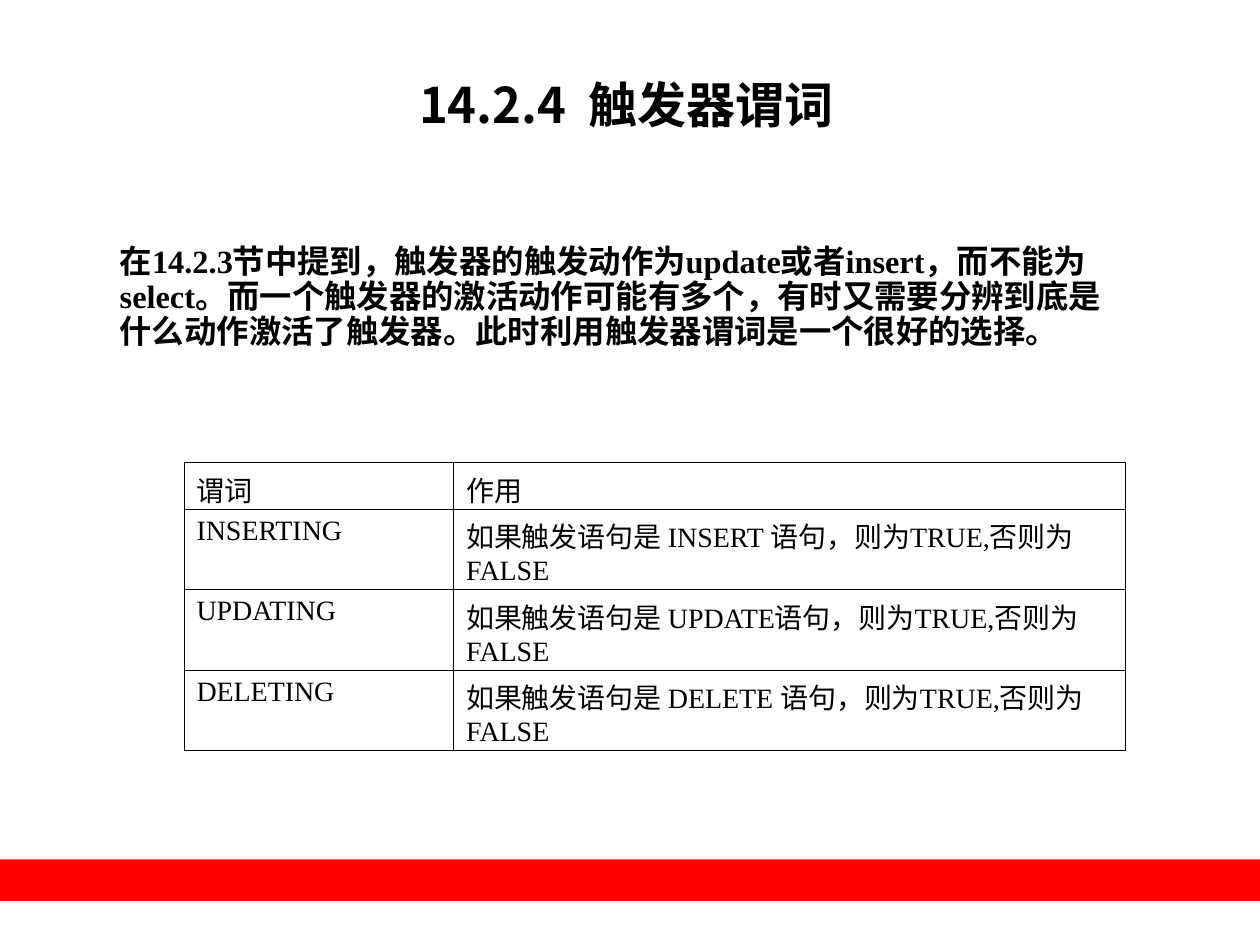
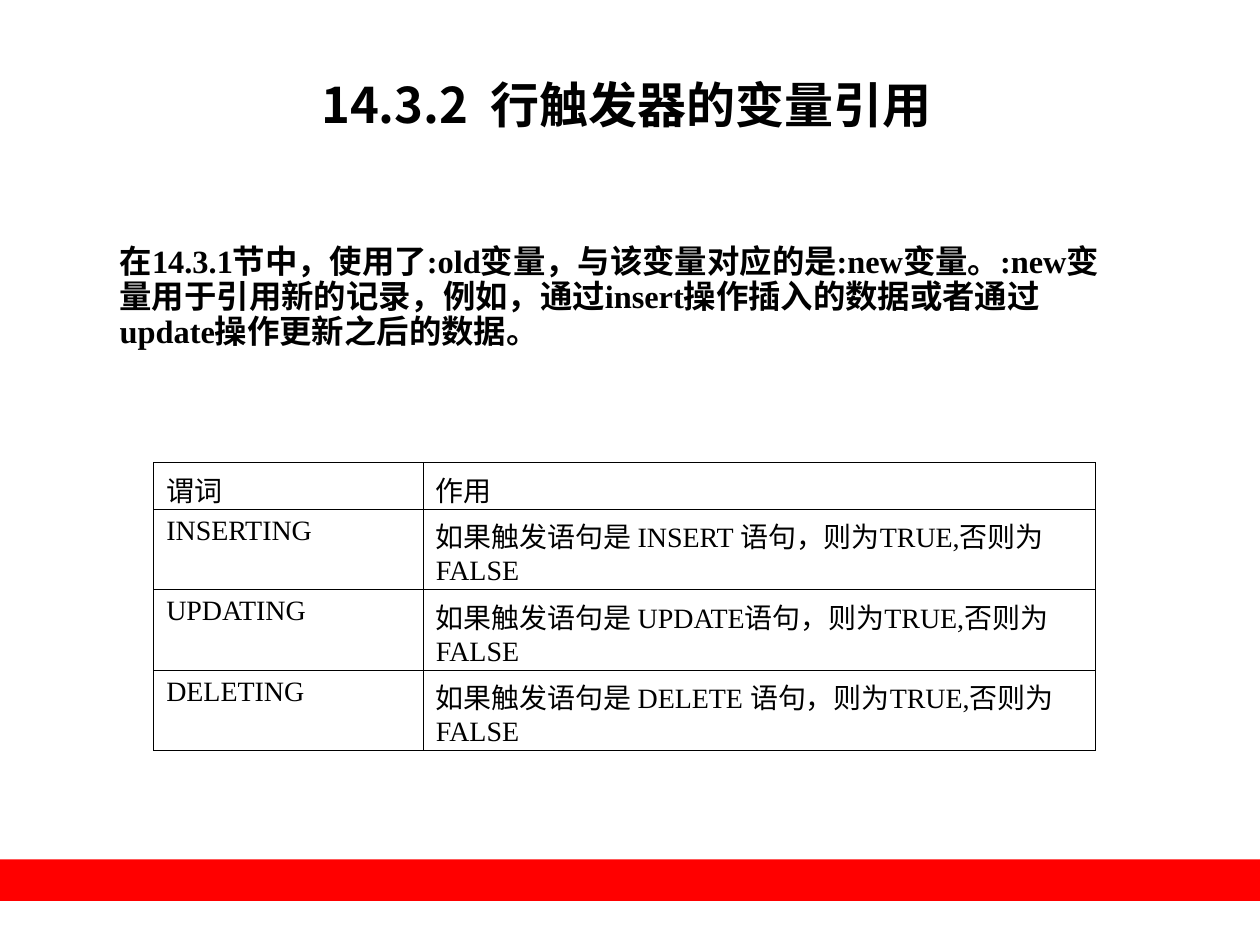
from lxml import etree
from pptx import Presentation, util as u
from pptx.dml.color import RGBColor
from pptx.enum import shapes, text
from pptx.oxml import ns

# Content
HEADER = ("谓词", "作用")
PREDICATES = [("INSERTING", "INSERT "), ("UPDATING", "UPDATE"), ("DELETING", "DELETE ")]
EFFECT = "如果触发语句是 {}语句，则为TRUE,否则为FALSE"
ROWS = [HEADER] + [(name, EFFECT.format(verb)) for name, verb in PREDICATES]

SLIDES = [
    dict(title="14.2.4  触发器谓词",
         body="在14.2.3节中提到，触发器的触发动作为update或者insert，而不能为select。"
              "而一个触发器的激活动作可能有多个，有时又需要分辨到底是什么动作激活了触发器。"
              "此时利用触发器谓词是一个很好的选择。",
         body_height=1.36, table_left=1.46),
    dict(title="14.3.2  行触发器的变量引用",
         body="在14.3.1节中，使用了:old变量，与该变量对应的是:new变量。"
              ":new变量用于引用新的记录，例如，通过insert操作插入的数据或者"
              "通过update操作更新之后的数据。",
         body_height=1.03, table_left=1.22),
]

# Shared look, lengths in inches
BLACK, RED = RGBColor(0, 0, 0), RGBColor(255, 0, 0)
HAN, LATIN = "Noto Sans CJK SC", "Times New Roman"
WIDTH, HEIGHT = 10, 7.5
BAND = (0, 6.82, WIDTH, 0.33)
TITLE = (0.97, 0.58, 8, 0.96)
BODY_LEFT, BODY_TOP, BODY_WIDTH = 0.94, 1.94, 7.99
TABLE_TOP, COLUMNS, ROW_HEIGHTS = 3.67, (2.14, 5.33), (0.37, 0.64, 0.64, 0.64)
INSET, BORDER = 0.01, 0.45


def inches(*lengths):
    return [u.Inches(n) for n in lengths]


def add_run(p, words, size, font, bold=False):
    r = p.add_run()
    r.text = words
    r.font.size, r.font.name, r.font.bold = u.Pt(size), font, bold
    r.font.color.rgb = BLACK
    etree.SubElement(r.font._element, ns.qn("a:ea"), typeface=HAN)


def add_text(s, box, words, size, font, before, align, spacing=1.0):
    tf = s.shapes.add_textbox(*inches(*box)).text_frame
    tf.word_wrap = True
    tf.vertical_anchor = text.MSO_ANCHOR.TOP
    tf.margin_left = tf.margin_top = tf.margin_right = tf.margin_bottom = u.Inches(INSET)
    p = tf.paragraphs[0]
    p.alignment, p.space_before, p.line_spacing = align, u.Pt(before), spacing
    add_run(p, words, size, font, bold=True)


def add_band(s):
    sp = s.shapes.add_shape(shapes.MSO_SHAPE.RECTANGLE, *inches(*BAND))
    sp.shadow.inherit = False
    sp.fill.solid()
    sp.fill.fore_color.rgb = RED
    sp.line.fill.background()


def style_cell(cell):
    tcPr = cell._tc.get_or_add_tcPr()
    for side in "LRTB":
        ln = etree.SubElement(tcPr, ns.qn(f"a:ln{side}"), w=str(u.Pt(BORDER)))
        fill = etree.SubElement(ln, ns.qn("a:solidFill"))
        etree.SubElement(fill, ns.qn("a:srgbClr"), val=str(BLACK))
    cell.fill.background()


def add_predicates(s, left):
    box = inches(left, TABLE_TOP, sum(COLUMNS), sum(ROW_HEIGHTS))
    table = s.shapes.add_table(len(ROWS), len(COLUMNS), *box).table
    table.first_row = table.horz_banding = False
    for column, width in zip(table.columns, COLUMNS):
        column.width = u.Inches(width)
    for row, height, words in zip(table.rows, ROW_HEIGHTS, ROWS):
        row.height = u.Inches(height)
        for cell, word in zip(row.cells, words):
            style_cell(cell)
            add_run(cell.text_frame.paragraphs[0], word, 16, LATIN)


def main():
    prs = Presentation()
    prs.slide_width, prs.slide_height = inches(WIDTH, HEIGHT)
    for page in SLIDES:
        s = prs.slides.add_slide(prs.slide_layouts[6])
        add_band(s)
        add_text(s, TITLE, page["title"], 28, HAN, 7, text.PP_ALIGN.CENTER)
        body = (BODY_LEFT, BODY_TOP, BODY_WIDTH, page["body_height"])
        add_text(s, body, page["body"], 18.5, LATIN, 5, text.PP_ALIGN.LEFT, 0.9)
        add_predicates(s, page["table_left"])
    prs.save("out.pptx")


if __name__ == "__main__":
    main()
